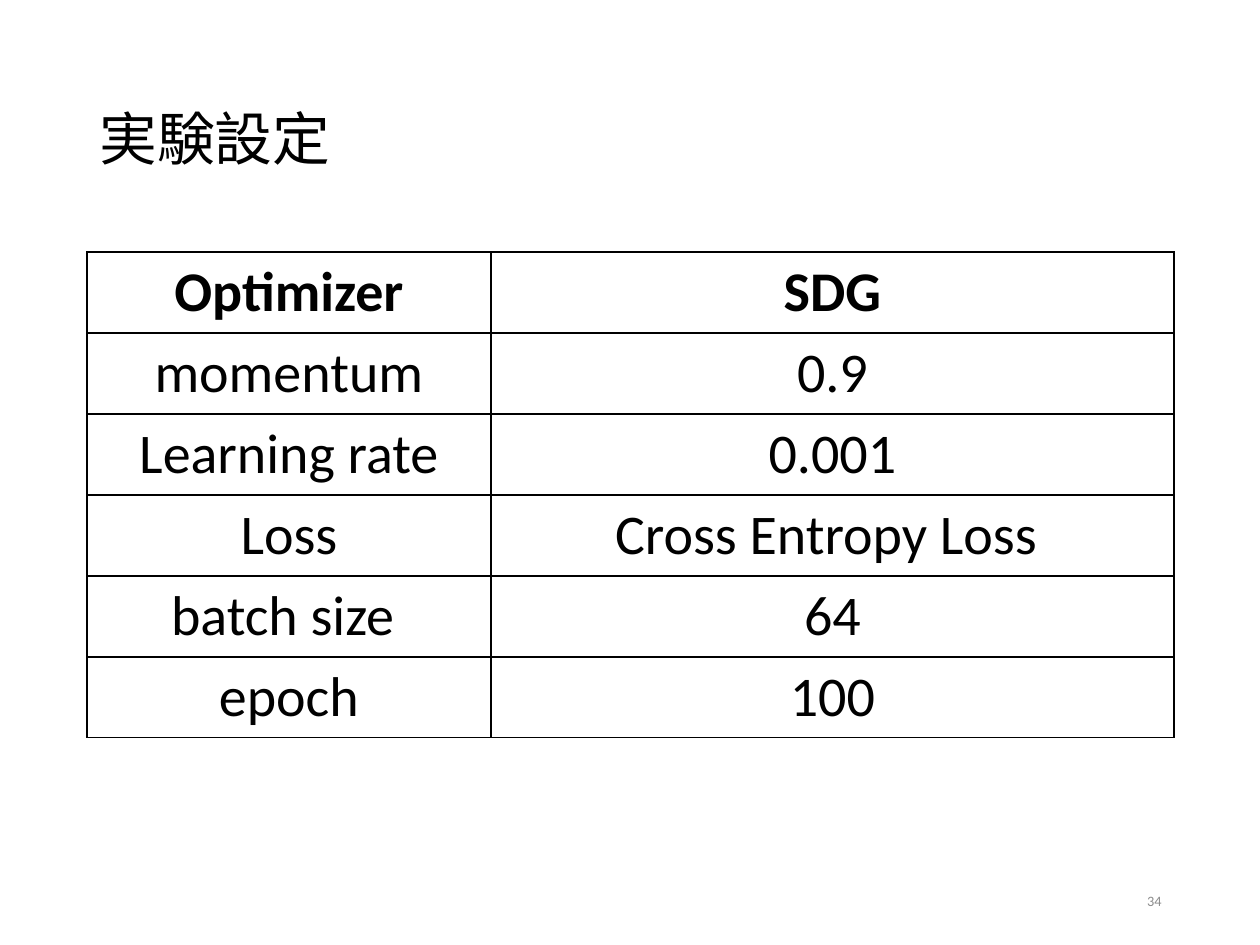
from lxml import etree
from pptx import Presentation
from pptx.dml.color import RGBColor
from pptx.enum.text import MSO_ANCHOR, PP_ALIGN
from pptx.oxml.ns import qn
from pptx.util import Emu, Pt

LEFT, CENTER, RIGHT = PP_ALIGN.LEFT, PP_ALIGN.CENTER, PP_ALIGN.RIGHT
MIDDLE = MSO_ANCHOR.MIDDLE
PX_PER_INCH = 126
FONT = "Calibri"
COLORS = {"ink": "000000", "paper": "FFFFFF", "page": "8C8C8C"}
SETTINGS = [
    ("Optimizer", "SDG"),
    ("momentum", "0.9"),
    ("Learning rate", "0.001"),
    ("Loss", "Cross Entropy Loss "),
    ("batch size ", "64"),
    ("epoch", "100"),
]
COLUMN_WIDTHS = (404, 683)
ROW_HEIGHT = 81


def px(length):
    """Turn pixels into EMU."""
    return Emu(round(length * 914400 / PX_PER_INCH))


def write_text(frame, text, size, color="ink", bold=False, align=LEFT, spacing=None):
    """Write one formatted paragraph into a text frame."""
    paragraph = frame.paragraphs[0]
    paragraph.alignment = align
    paragraph.line_spacing = spacing
    run = paragraph.add_run()
    run.text = text
    run.font.name = FONT
    run.font.size = Pt(size)
    run.font.bold = bold
    run.font.color.rgb = RGBColor.from_string(COLORS[color])


def add_label(slide, box, text, size, **text_format):
    """Add a vertically centred text box."""
    frame = slide.shapes.add_textbox(*map(px, box)).text_frame
    frame.word_wrap = True
    frame.vertical_anchor = MIDDLE
    write_text(frame, text, size, **text_format)


def add_borders(cell):
    """Draw a thin line on all four sides of a cell."""
    properties = cell._tc.get_or_add_tcPr()
    for position, side in enumerate(("a:lnL", "a:lnR", "a:lnT", "a:lnB")):
        line = etree.Element(qn(side), w=str(Pt(1)))
        fill = etree.SubElement(line, qn("a:solidFill"))
        etree.SubElement(fill, qn("a:srgbClr"), val=COLORS["ink"])
        properties.insert(position, line)


def add_settings_table(slide, left, top):
    """Add the bordered table of settings with a bold first row."""
    table = slide.shapes.add_table(
        len(SETTINGS), len(COLUMN_WIDTHS), px(left), px(top),
        px(sum(COLUMN_WIDTHS)), px(ROW_HEIGHT * len(SETTINGS)),
    ).table
    table.horz_banding = False
    for column, width in zip(table.columns, COLUMN_WIDTHS):
        column.width = px(width)
    for row_index, setting in enumerate(SETTINGS):
        table.rows[row_index].height = px(ROW_HEIGHT)
        for column_index, text in enumerate(setting):
            cell = table.cell(row_index, column_index)
            cell.vertical_anchor = MIDDLE
            cell.fill.solid()
            cell.fill.fore_color.rgb = RGBColor.from_string(COLORS["paper"])
            add_borders(cell)
            write_text(cell.text_frame, text, 32, bold=row_index == 0, align=CENTER)


def main():
    """Build and save the slide."""
    presentation = Presentation()
    presentation.slide_width, presentation.slide_height = px(1260), px(945)
    slide = presentation.slides.add_slide(presentation.slide_layouts[6])
    add_label(slide, (87, 50, 1086, 183), "実験設定", 33, spacing=0.9)
    add_settings_table(slide, 87, 252)
    add_label(slide, (891, 876, 283, 50), "34", 8.2, color="page", align=RIGHT)
    presentation.save("out.pptx")


if __name__ == "__main__":
    main()
